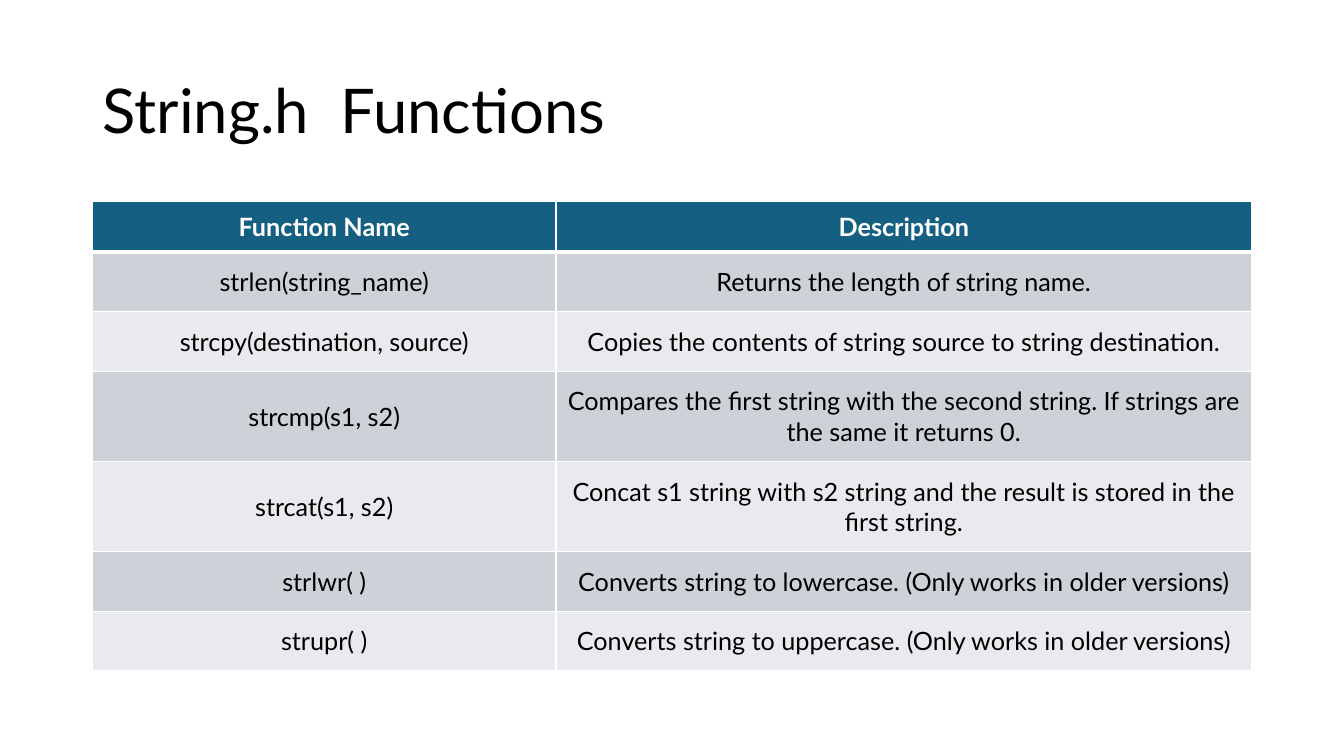
from lxml import etree
from pptx import Presentation
from pptx.dml.color import RGBColor
from pptx.enum.text import MSO_ANCHOR, MSO_AUTO_SIZE, PP_ALIGN
from pptx.oxml.ns import qn
from pptx.util import Cm, Pt

MIDDLE = MSO_ANCHOR.MIDDLE
NO_AUTOFIT = MSO_AUTO_SIZE.NONE
LEFT, CENTER = PP_ALIGN.LEFT, PP_ALIGN.CENTER

BLACK = RGBColor(0x00, 0x00, 0x00)
WHITE = RGBColor(0xFF, 0xFF, 0xFF)
HEADER_BLUE = RGBColor(0x15, 0x60, 0x82)
BAND_DARK = RGBColor(0xCC, 0xD2, 0xD8)
BAND_LIGHT = RGBColor(0xE8, 0xEA, 0xED)

FONT = "Lato"
TITLE_ONLY_LAYOUT = 5
TITLE_BOX = (Cm(2.33), Cm(1.01), Cm(29.21), Cm(3.68))
TABLE_BOX = (Cm(2.33), Cm(5.08), Cm(29.21), Cm(11.83))
NAME_SHARE = 0.4
HEADER_HEIGHT, ONE_LINE, TWO_LINES = Cm(1.27), Cm(1.5), Cm(2.27)
THIN, THICK = Pt(1), Pt(3)

HEADINGS = ("Function Name", "Description")
FUNCTIONS = [
    ("strlen(string_name)", "Returns the length of string name.", ONE_LINE),
    ("strcpy(destination, source)",
     "Copies the contents of string source to string destination.", ONE_LINE),
    ("strcmp(s1, s2)",
     "Compares the first string with the second string. "
     "If strings are the same it returns 0.", TWO_LINES),
    ("strcat(s1, s2)",
     "Concat s1 string with s2 string and the result "
     "is stored in the first string.", TWO_LINES),
    ("strlwr( )",
     "Converts string to lowercase. (Only works in older versions)", ONE_LINE),
    ("strupr( )",
     "Converts string to uppercase. (Only works in older versions)", ONE_LINE),
]


def set_font(para, size, color, bold=False):
    para.font.name = FONT
    para.font.size = Pt(size)
    para.font.bold = bold
    para.font.color.rgb = color


def set_borders(cell, top, bottom):
    """Give the cell white borders, thin at the sides."""
    properties = cell._tc.get_or_add_tcPr()
    widths = {"a:lnL": THIN, "a:lnR": THIN, "a:lnT": top, "a:lnB": bottom}
    for tag, width in widths.items():
        line = etree.SubElement(properties, qn(tag), w=str(width))
        fill = etree.SubElement(line, qn("a:solidFill"))
        etree.SubElement(fill, qn("a:srgbClr"), val=str(WHITE))


def add_title(page, box, text):
    title = page.shapes.title
    title.left, title.top, title.width, title.height = box
    frame = title.text_frame
    frame.text = text
    frame.word_wrap = True
    frame.auto_size = NO_AUTOFIT
    frame.vertical_anchor = MIDDLE
    para = frame.paragraphs[0]
    para.alignment = LEFT
    para.line_spacing = 0.9
    set_font(para, 44, BLACK)


def fill_row(table, index, texts, fill, color):
    is_header = index == 0
    for column, text in enumerate(texts):
        cell = table.cell(index, column)
        set_borders(cell, THICK if index == 1 else THIN,
                    THICK if is_header else THIN)
        cell.fill.solid()
        cell.fill.fore_color.rgb = fill
        cell.vertical_anchor = MIDDLE
        cell.margin_left = cell.margin_right = (
            Cm(0.1) if is_header and column == 0 else Cm(0.25))
        cell.margin_top = cell.margin_bottom = (
            Cm(0.25) if is_header else Cm(0.37))
        cell.text = text
        para = cell.text_frame.paragraphs[0]
        para.alignment = CENTER
        set_font(para, 18, color, bold=is_header)


def add_function_table(page, box):
    frame = page.shapes.add_table(len(FUNCTIONS) + 1, len(HEADINGS), *box)
    table = frame.table
    name_width = int(box[2] * NAME_SHARE)
    table.columns[0].width = name_width
    table.columns[1].width = box[2] - name_width

    table.rows[0].height = HEADER_HEIGHT
    fill_row(table, 0, HEADINGS, HEADER_BLUE, WHITE)
    for index, (name, description, height) in enumerate(FUNCTIONS, start=1):
        table.rows[index].height = height
        band = BAND_DARK if index % 2 else BAND_LIGHT
        fill_row(table, index, (name, description), band, BLACK)


def main():
    deck = Presentation()
    deck.slide_width, deck.slide_height = Cm(33.87), Cm(19.05)
    page = deck.slides.add_slide(deck.slide_layouts[TITLE_ONLY_LAYOUT])
    add_title(page, TITLE_BOX, "String.h  Functions")
    add_function_table(page, TABLE_BOX)
    deck.save("out.pptx")


if __name__ == "__main__":
    main()
